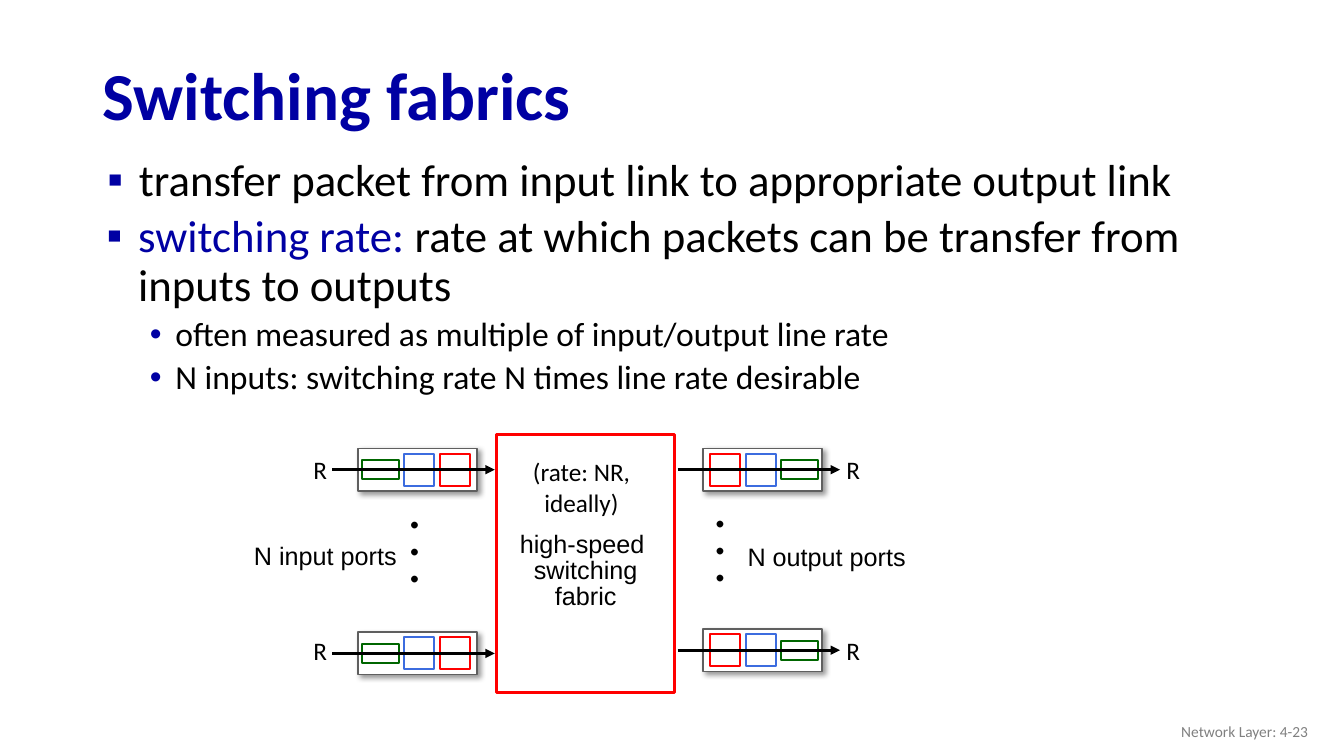
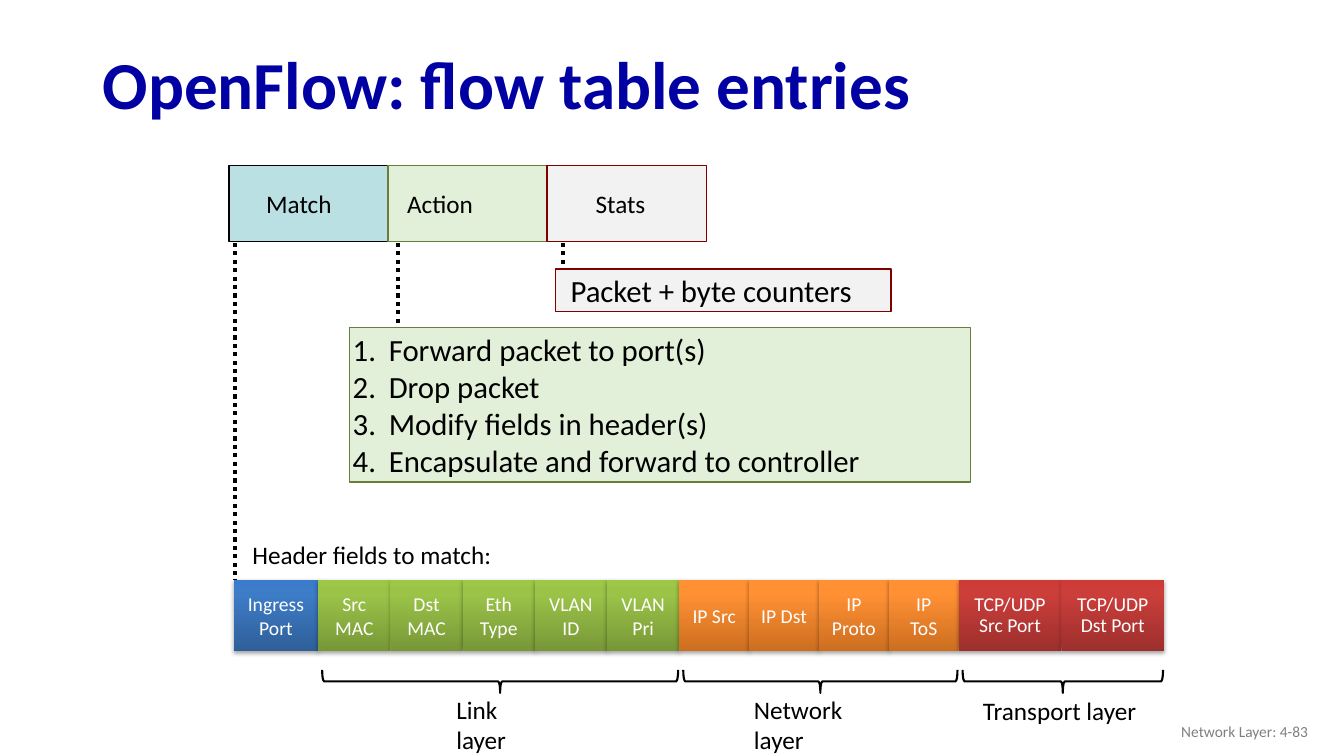
from dataclasses import dataclass

from lxml import etree
from pptx import Presentation
from pptx.dml.color import RGBColor
from pptx.enum.dml import MSO_LINE
from pptx.enum.shapes import MSO_CONNECTOR, MSO_SHAPE
from pptx.enum.text import MSO_ANCHOR, PP_ALIGN
from pptx.oxml.ns import qn
from pptx.util import Cm, Pt

LEFT, CENTER, RIGHT = PP_ALIGN.LEFT, PP_ALIGN.CENTER, PP_ALIGN.RIGHT
TOP, MIDDLE = MSO_ANCHOR.TOP, MSO_ANCHOR.MIDDLE
RECTANGLE, BRACE = MSO_SHAPE.RECTANGLE, MSO_SHAPE.LEFT_BRACE
STRAIGHT, DOTTED = MSO_CONNECTOR.STRAIGHT, MSO_LINE.ROUND_DOT


@dataclass(frozen=True)
class Theme:
    font: str = "Calibri"
    port_font: str = "Arial"
    navy: str = "0000A3"
    black: str = "000000"
    white: str = "FFFFFF"
    gray: str = "808080"
    frame: str = "5F5F5F"
    red: str = "FF0000"
    blue: str = "3C6CDF"
    green: str = "006600"
    teal_fill: str = "BBE0E3"
    olive_fill: str = "E2F0D9"
    olive: str = "697D3A"
    pale_fill: str = "F2F2F2"
    maroon: str = "800000"
    # Gradients run from bottom to top, with stops at 0, 80 and 100 percent.
    ingress: tuple = ("2F5F99", "3D7CC7", "3A7CCB")
    link: tuple = ("779737", "9BC348", "9DC746")
    network: tuple = ("CC6E20", "FF9034", "FF9136")
    transport: tuple = ("9C2F2D", "CB3E3A", "CE3B37")
    title_size: int = 48
    body_size: int = 32
    sub_size: int = 24
    action_size: int = 22
    label_size: int = 18
    field_size: int = 14
    footer_size: int = 11


THEME = Theme()

# All positions and lengths are in centimetres: left, top, width, height.
DEFAULT_INSETS = (0.25, 0.13, 0.25, 0.13)
NO_INSETS = (0, 0, 0, 0)

# Switching fabrics
TRANSFER = "transfer packet from input link to appropriate output link"
RATE_TERM = "switching rate: "
RATE_MEANING = "rate at which packets can be transfer from inputs to outputs"
RATE_NOTES = ["often measured as multiple of input/output line rate",
              "N inputs: switching rate N times line rate desirable"]
FABRIC_LINES = ["high-speed ", "switching", "fabric"]
PORT_LABELS = [("N input ports", (6.15, 13.49, 4.14, 1.02)),
               ("N output ports", (18.59, 13.51, 4.55, 1.02))]
ELLIPSES = [(9.65, 13.11, 2.57, 1.96), (17.35, 13.08, 2.57, 1.96)]
RATE_LABELS = [(left, top) for left in (7.65, 21.08) for top in (11.33, 15.88)]
BUFFERS = [  # left, top, is output
    (9.02, 11.3, False), (9.02, 15.93, False),
    (17.72, 11.3, True), (17.72, 15.85, True),
]
BUFFER_WIDTH, BUFFER_HEIGHT = 3.0, 1.07
ARROW_START, ARROW_END = -0.64, 3.45
PACKETS = [  # offset from the buffer's outer end, width, height, colour
    (0.1, 0.94, 0.48, THEME.green),
    (1.17, 0.76, 0.81, THEME.blue),
    (2.06, 0.76, 0.81, THEME.red),
]

# Flow table
ENTRY_LEFT, ENTRY_TOP, ENTRY_WIDTH, ENTRY_HEIGHT = 5.77, 4.17, 4.01, 1.91
ENTRIES = [  # name, text inset, fill, line, dotted line x and end
    ("Match", 0.94, THEME.teal_fill, THEME.black, 5.92, 14.61),
    ("Action", 0.48, THEME.olive_fill, THEME.olive, 10.04, 8.23),
    ("Stats", 1.22, THEME.pale_fill, THEME.maroon, 14.19, 6.76),
]
ACTIONS = ["Forward packet to port(s)", "Drop packet",
           "Modify fields in header(s)", "Encapsulate and forward to controller"]
FIELD_LEFT, FIELD_TOP, FIELD_HEIGHT = 5.89, 14.61, 1.8
BRACE_TOP, BRACE_DEPTH = 16.88, 0.58
FIELD_GROUPS = [  # gradient, field width, line spacing, fields, layer label
    (THEME.ingress, 2.13, 1.0, ["Ingress Port"], None),
    (THEME.link, 1.82, 1.0,
     ["Src MAC", "Dst MAC", "Eth Type", "VLAN\nID", "VLAN\nPri"],
     ("Link layer", (11.25, 17.37, 2.67, 1.02), LEFT)),
    (THEME.network, 1.76, 1.0, ["IP Src", "IP Dst", "IP Proto", "IP\nToS"],
     ("Network layer", (18.75, 17.37, 3.76, 1.02), LEFT)),
    (THEME.transport, 2.59, Pt(14.8), ["TCP/UDP Src Port", "TCP/UDP Dst Port"],
     ("Transport layer", (23.44, 17.4, 6.53, 1.02), CENTER)),
]


def rgb(color):
    return RGBColor.from_string(color)


def add_xml(parent, tag, **attributes):
    return etree.SubElement(parent, qn(tag), attributes)


def write(shape, lines, size, color=THEME.black, font=THEME.font, bold=False,
          align=LEFT, anchor=TOP, insets=DEFAULT_INSETS, wrap=True,
          spacing=1.0, before=0):
    """Fill a shape with paragraphs; a line is a string or (text, colour) runs."""
    frame = shape.text_frame
    sides = ("margin_left", "margin_top", "margin_right", "margin_bottom")
    frame_format = dict(zip(sides, map(Cm, insets)))
    frame_format.update(word_wrap=wrap, vertical_anchor=anchor)
    for name, value in frame_format.items():
        setattr(frame, name, value)
    paragraph_format = {"alignment": align, "line_spacing": spacing,
                        "space_before": Pt(before)}
    font_format = {"name": font, "size": Pt(size), "bold": bold}
    paragraphs = []
    for index, line in enumerate(lines):
        paragraph = frame.add_paragraph() if index else frame.paragraphs[0]
        for name, value in paragraph_format.items():
            setattr(paragraph, name, value)
        for text, run_color in [(line, color)] if isinstance(line, str) else line:
            run = paragraph.add_run()
            run.text = text
            for name, value in font_format.items():
                setattr(run.font, name, value)
            run.font.color.rgb = rgb(run_color)
        paragraphs.append(paragraph)
    return paragraphs


def add_text(slide, box, lines, size, **style):
    shape = slide.shapes.add_textbox(*map(Cm, box))
    write(shape, lines, size, **style)
    return shape


def add_bullet(paragraph, left, hanging, mark=None):
    """Give a paragraph a bullet mark, or a number when there is no mark."""
    properties = paragraph._p.get_or_add_pPr()
    properties.set("marL", str(Cm(left)))
    properties.set("indent", str(-Cm(hanging)))
    if mark is None:
        add_xml(properties, "a:buAutoNum", type="arabicPeriod")
        return
    add_xml(add_xml(properties, "a:buClr"), "a:srgbClr", val=THEME.navy)
    add_xml(properties, "a:buFont", typeface="Arial")
    add_xml(properties, "a:buChar", char=mark)


def add_shape(slide, box, fill=None, line=None, weight=1, kind=RECTANGLE):
    shape = slide.shapes.add_shape(kind, *map(Cm, box))
    shape.shadow.inherit = False
    if fill:
        shape.fill.solid()
        shape.fill.fore_color.rgb = rgb(fill)
    else:
        shape.fill.background()
    if line:
        shape.line.color.rgb = rgb(line)
        shape.line.width = Pt(weight)
    else:
        shape.line.fill.background()
    return shape


def set_gradient(shape, colors):
    gradient = etree.Element(qn("a:gradFill"), rotWithShape="1")
    stops = add_xml(gradient, "a:gsLst")
    for percent, color in zip((0, 80, 100), colors):
        stop = add_xml(stops, "a:gs", pos=str(percent * 1000))
        add_xml(stop, "a:srgbClr", val=color)
    add_xml(gradient, "a:lin", ang=str(270 * 60000), scaled="0")
    properties = shape._element.spPr
    properties.replace(properties.find(qn("a:noFill")), gradient)


def set_shadow(shape, opacity, blur, distance, angle):
    effects = shape._element.spPr.find(qn("a:effectLst"))
    shadow = add_xml(effects, "a:outerShdw", blurRad=str(Pt(blur)),
                     dist=str(Pt(distance)), dir=str(angle * 60000),
                     rotWithShape="0")
    color = add_xml(shadow, "a:srgbClr", val=THEME.black)
    add_xml(color, "a:alpha", val=str(opacity * 1000))


def add_line(slide, start, end, weight, dash=None, arrow=False):
    line = slide.shapes.add_connector(STRAIGHT, *map(Cm, start + end))
    line.line.color.rgb = rgb(THEME.black)
    line.line.width = Pt(weight)
    if dash:
        line.line.dash_style = dash
    if arrow:
        add_xml(line.line._get_or_add_ln(), "a:tailEnd", type="triangle")
    add_xml(line._element.spPr, "a:effectLst")


def add_slide(presentation, title, title_top, number):
    slide = presentation.slides.add_slide(presentation.slide_layouts[6])
    add_text(slide, (2.34, title_top, 29.21, 2.49), [title], THEME.title_size,
             color=THEME.navy, bold=True, anchor=MIDDLE, spacing=0.9)
    add_text(slide, (25.6, 17.91, 7.62, 1.02), [f"Network Layer: {number}"],
             THEME.footer_size, color=THEME.gray, align=RIGHT, anchor=MIDDLE)
    return slide


def add_buffer(slide, left, top, is_output):
    """Draw a port buffer; an output buffer mirrors an input buffer."""
    frame = add_shape(slide, (left, top, BUFFER_WIDTH, BUFFER_HEIGHT),
                      THEME.white, THEME.frame, 1.25)
    set_shadow(frame, opacity=40, blur=4, distance=3, angle=45)
    for offset, width, height, color in PACKETS:
        if is_output:
            offset = BUFFER_WIDTH - offset - width
        box = (left + offset, top + (BUFFER_HEIGHT - height) / 2, width, height)
        add_shape(slide, box, THEME.white, color, 1.5)
    middle = top + BUFFER_HEIGHT / 2
    add_line(slide, (left + ARROW_START, middle), (left + ARROW_END, middle),
             2.25, arrow=True)


def build_switching(presentation):
    slide = add_slide(presentation, "Switching fabrics", 1.24, "4-23")
    body = {"spacing": 0.9, "before": 10}
    rate_line = [(RATE_TERM, THEME.navy), (RATE_MEANING, THEME.black)]
    for box, line in [((2.26, 3.84, 30.66, 1.75), TRANSFER),
                      ((2.24, 5.26, 30.66, 6.43), rate_line)]:
        shape = slide.shapes.add_textbox(*map(Cm, box))
        add_bullet(write(shape, [line], THEME.body_size, **body)[0], 0.99, 0.79, "▪")
    for note in RATE_NOTES:
        paragraph = shape.text_frame.add_paragraph()
        paragraph.line_spacing, paragraph.space_before = 0.9, Pt(5)
        run = paragraph.add_run()
        run.text = note
        run.font.name, run.font.size = THEME.font, Pt(THEME.sub_size)
        run.font.color.rgb = rgb(THEME.black)
        add_bullet(paragraph, 1.93, 0.64, "•")

    add_shape(slide, (12.52, 10.95, 4.47, 6.5), THEME.white, THEME.red, 2.25)
    add_text(slide, (12.83, 13.31, 3.86, 2.21), FABRIC_LINES, THEME.label_size,
             font=THEME.port_font, align=CENTER, spacing=0.85, wrap=False)
    add_text(slide, (12.8, 11.38, 3.71, 1.8), ["(rate: NR, ideally)"],
             THEME.label_size, align=CENTER)
    for label, box in PORT_LABELS:
        add_text(slide, box, [label], THEME.label_size, font=THEME.port_font,
                 wrap=False)
    for box in ELLIPSES:
        add_text(slide, box, [". . . "], 40, align=CENTER).rotation = 90
    for buffer in BUFFERS:
        add_buffer(slide, *buffer)
    for left, top in RATE_LABELS:
        add_text(slide, (left, top, 0.86, 1.02), ["R"], THEME.label_size, wrap=False)


def add_field_group(slide, left, gradient, width, spacing, fields, layer):
    for index, field in enumerate(fields):
        cell = add_shape(slide, (left + index * width, FIELD_TOP, width, FIELD_HEIGHT))
        set_gradient(cell, gradient)
        set_shadow(cell, opacity=35, blur=3.1, distance=1.8, angle=90)
        write(cell, field.split("\n"), THEME.field_size, color=THEME.white,
              align=CENTER, anchor=MIDDLE, spacing=spacing)
    span = width * len(fields)
    if layer:
        label, box, align = layer
        length = span - 0.13
        brace_left = left + 0.1 + (length - BRACE_DEPTH) / 2
        brace_top = BRACE_TOP + (BRACE_DEPTH - length) / 2
        brace = add_shape(slide, (brace_left, brace_top, BRACE_DEPTH, length),
                          line=THEME.black, weight=1.5, kind=BRACE)
        brace.rotation = 270
        add_text(slide, box, [label], THEME.label_size, align=align)
    return left + span


def build_flow_table(presentation):
    slide = add_slide(presentation, "OpenFlow: flow table entries", 0.97, "4-83")
    for index, (name, inset, fill, line, dot_x, dot_end) in enumerate(ENTRIES):
        box = (ENTRY_LEFT + index * ENTRY_WIDTH, ENTRY_TOP, ENTRY_WIDTH, ENTRY_HEIGHT)
        write(add_shape(slide, box, fill, line), [name], THEME.label_size,
              anchor=MIDDLE, insets=(inset, 0, 0, 0))
        add_line(slide, (dot_x, 6.12), (dot_x, dot_end), 3, dash=DOTTED)
    counters = add_shape(slide, (14, 6.78, 8.46, 1.07), THEME.pale_fill, THEME.maroon)
    write(counters, ["Packet + byte counters"], THEME.action_size,
          anchor=MIDDLE, insets=(0.38, 0, 0, 0))
    actions = add_shape(slide, (8.81, 8.26, 15.65, 3.89), THEME.olive_fill, THEME.olive)
    for paragraph in write(actions, ACTIONS, THEME.action_size, anchor=MIDDLE,
                           insets=NO_INSETS):
        add_bullet(paragraph, 0.99, 0.91)
    add_text(slide, (5.99, 13.46, 6.76, 1.02), ["Header fields to match:"],
             THEME.label_size, align=CENTER)
    left = FIELD_LEFT
    for group in FIELD_GROUPS:
        left = add_field_group(slide, left, *group)


def main():
    presentation = Presentation()
    presentation.slide_width, presentation.slide_height = Cm(33.87), Cm(19.05)
    build_switching(presentation)
    build_flow_table(presentation)
    presentation.save("out.pptx")


if __name__ == "__main__":
    main()
